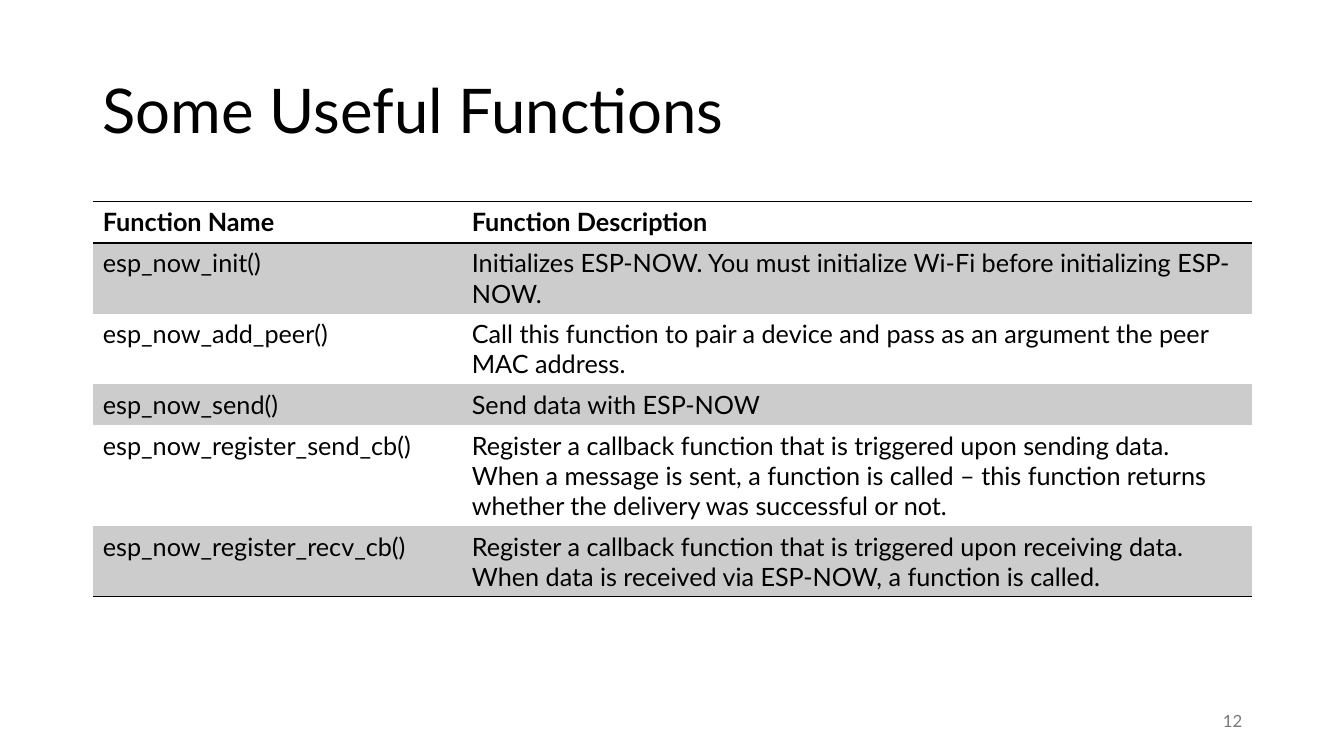
"""Build a slide with a table of useful ESP-NOW functions."""
from pptx import Presentation
from pptx.dml.color import RGBColor
from pptx.enum.text import MSO_ANCHOR as Anchor, PP_ALIGN as Align
from pptx.oxml import parse_xml
from pptx.oxml.ns import nsdecls, qn
from pptx.util import Inches, Pt

TITLE = "Some Useful Functions"
PAGE_NUMBER = "12"
ROWS = [
    ("Function Name", "Function Description"),
    ("esp_now_init()",
     "Initializes ESP-NOW. You must initialize Wi-Fi before initializing ESP-NOW."),
    ("esp_now_add_peer()",
     "Call this function to pair a device and pass as an argument the peer MAC address."),
    ("esp_now_send()", "Send data with ESP-NOW"),
    ("esp_now_register_send_cb()",
     "Register a callback function that is triggered upon sending data. "
     "When a message is sent, a function is called – this function returns "
     "whether the delivery was successful or not."),
    ("esp_now_register_recv_cb()",
     "Register a callback function that is triggered upon receiving data. "
     "When data is received via ESP-NOW, a function is called."),
]
COLORS = {"text": "000000", "rule": "000000", "band": "CCCCCC", "number": "797979"}
FONT = "Lato"
LEFT, TABLE_TOP, TABLE_WIDTH = 0.92, 2, 11.5
COLUMN_WIDTHS = (3.66, 7.84)
ROW_HEIGHT = 0.41
NO_STYLE = "{2D5ABB26-0587-4C30-8999-92F81FD0307C}"


def write(frame, text, size=18, color="text", bold=False, align=Align.LEFT, spacing=None):
    para = frame.paragraphs[0]
    para.alignment = align
    para.line_spacing = spacing
    span = para.add_run()
    span.text = text
    span.font.name = FONT
    span.font.size = Pt(size)
    span.font.bold = bold
    span.font.color.rgb = RGBColor.from_string(COLORS[color])


def add_text(page, text, left, top, width, height, **style):
    box = page.shapes.add_textbox(Inches(left), Inches(top), Inches(width), Inches(height))
    box.text_frame.word_wrap = True
    box.text_frame.vertical_anchor = Anchor.MIDDLE
    write(box.text_frame, text, **style)


def add_rule(cell, side):
    cell._tc.get_or_add_tcPr().append(parse_xml(
        f'<a:{side} {nsdecls("a")} w="{Pt(1)}"><a:solidFill>'
        f'<a:srgbClr val="{COLORS["rule"]}"/></a:solidFill></a:{side}>'))


def add_function_table(page):
    holder = page.shapes.add_table(
        len(ROWS), len(COLUMN_WIDTHS), Inches(LEFT), Inches(TABLE_TOP),
        Inches(TABLE_WIDTH), Inches(ROW_HEIGHT * len(ROWS)))
    table = holder.table
    table.first_row = table.horz_banding = False
    for style_id in holder.element.iter(qn("a:tableStyleId")):
        style_id.text = NO_STYLE
    for column, width in zip(table.columns, COLUMN_WIDTHS):
        column.width = Inches(width)
    for index, texts in enumerate(ROWS):
        table.rows[index].height = Inches(ROW_HEIGHT)
        for cell, text in zip(table.rows[index].cells, texts):
            write(cell.text_frame, text, bold=index == 0)
            if index == 0:
                add_rule(cell, "lnT")
            if index in (0, len(ROWS) - 1):
                add_rule(cell, "lnB")
            if index % 2:
                cell.fill.solid()
                cell.fill.fore_color.rgb = RGBColor.from_string(COLORS["band"])
            else:
                cell.fill.background()


def main():
    deck = Presentation()
    deck.slide_width, deck.slide_height = Inches(13.33), Inches(7.5)
    page = deck.slides.add_slide(deck.slide_layouts[6])
    add_text(page, TITLE, LEFT, 0.4, TABLE_WIDTH, 1.45, size=44, spacing=0.9)
    add_function_table(page)
    add_text(page, PAGE_NUMBER, 9.42, 6.95, 3, 0.4,
             size=12, color="number", align=Align.RIGHT)
    deck.save("out.pptx")


if __name__ == "__main__":
    main()
